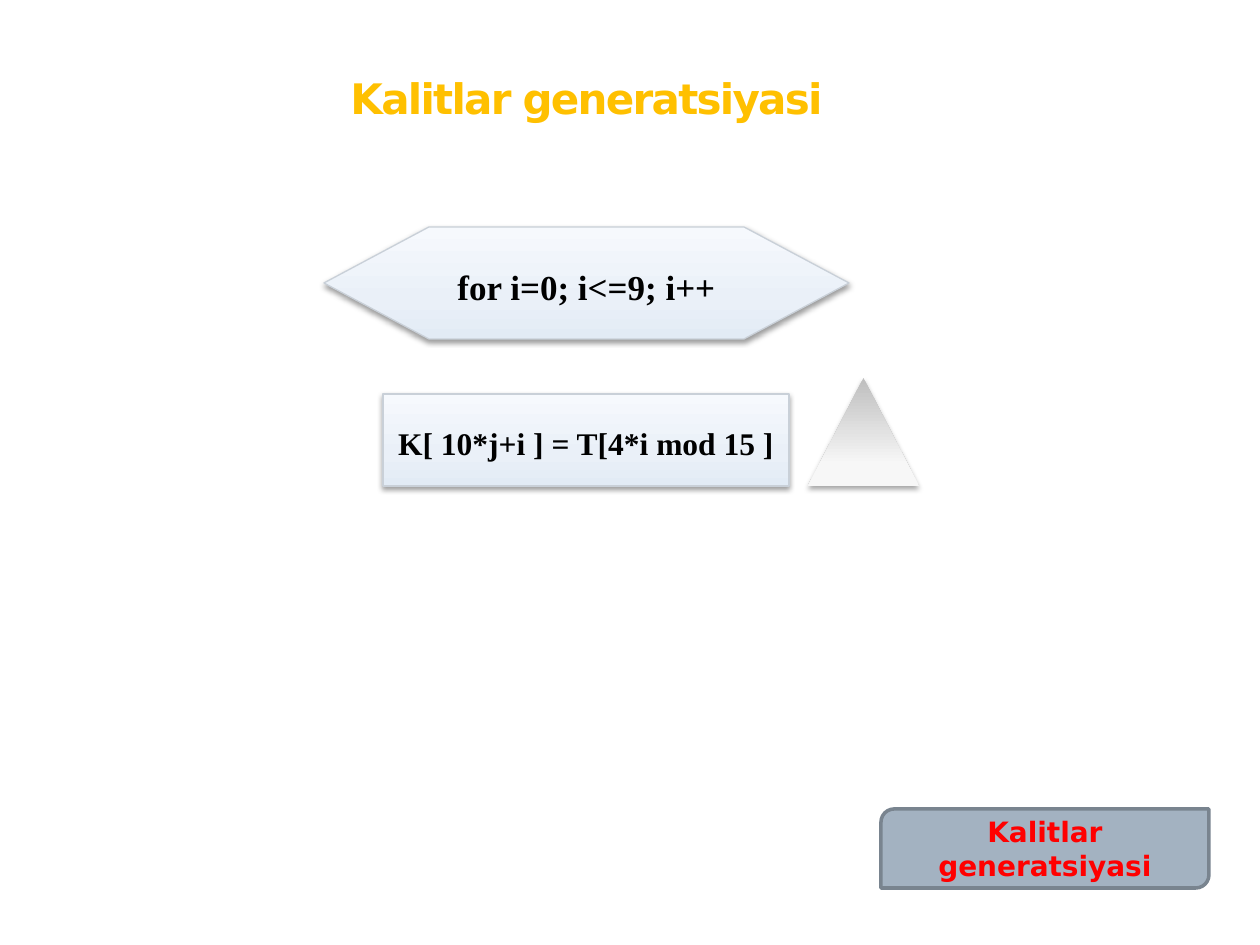
from dataclasses import dataclass
from typing import Any

from pptx import Presentation
from pptx import util as u
from pptx.dml.color import RGBColor
from pptx.enum import shapes, text
from pptx.oxml import parse_xml
from pptx.oxml.ns import nsdecls, qn

PX = u.Inches(1) / 126
KIND = shapes.MSO_SHAPE
BLUE_GRADIENT = [(0, "E2EBF5"), (35, "EAF0F8"), (100, "F6F9FD")]
GRAY_GRADIENT = [(0, "BEBEBE"), (80, "F7F7F7"), (100, "F8F8F8")]


def px(length):
    return u.Emu(round(length * PX))


def color(value):
    return RGBColor.from_string(value)


def drawing(tag, attributes, content):
    return parse_xml(f'<a:{tag} {nsdecls("a")} {attributes}>{content}</a:{tag}>')


def translucent(value, percent):
    return f'<a:srgbClr val="{value}"><a:alpha val="{percent * 1000}"/></a:srgbClr>'


@dataclass
class SlideBuilder:
    slide: Any
    heading_font: str = "DejaVu Sans"
    code_font: str = "Times New Roman"
    code_color: str = "000000"
    edge_color: str = "C9D0D8"

    def label(self, frame, words, size, font, ink):
        frame.word_wrap = True
        paragraph = frame.paragraphs[0]
        paragraph.alignment = text.PP_ALIGN.CENTER
        run = paragraph.add_run()
        run.text = words
        run.font.name = font
        run.font.size = u.Pt(size)
        run.font.bold = True
        run.font.color.rgb = color(ink)
        return paragraph, run

    def shape(self, kind, box, line=None, width=0.75):
        shape = self.slide.shapes.add_shape(kind, *map(px, box))
        shape.shadow.inherit = False
        if line:
            shape.line.color.rgb = color(line)
            shape.line.width = u.Pt(width)
        else:
            shape.line.fill.background()
        shape.text_frame.vertical_anchor = text.MSO_ANCHOR.MIDDLE
        return shape

    def raised_shape(self, kind, box, gradient, line=None, opacity=38, distance=1.6):
        shape = self.shape(kind, box, line)
        properties = shape._element.spPr
        stops = "".join(
            f'<a:gs pos="{place * 1000}"><a:srgbClr val="{value}"/></a:gs>'
            for place, value in gradient
        )
        properties.find(qn("a:prstGeom")).addnext(drawing(
            "gradFill", 'rotWithShape="1"',
            f'<a:gsLst>{stops}</a:gsLst><a:lin ang="16200000" scaled="0"/>',
        ))
        properties.find(qn("a:effectLst")).append(drawing(
            "outerShdw",
            f'blurRad="{u.Pt(3.1)}" dist="{u.Pt(distance)}" dir="5400000" rotWithShape="0"',
            translucent("000000", opacity),
        ))
        return shape

    def code_block(self, kind, box, words, size):
        shape = self.raised_shape(kind, box, BLUE_GRADIENT, self.edge_color)
        paragraph, _ = self.label(
            shape.text_frame, words, size, self.code_font, self.code_color)
        paragraph.line_spacing = 1.15
        paragraph.space_after = u.Pt(10)

    def title(self, box, words, size, ink):
        frame = self.slide.shapes.add_textbox(*map(px, box)).text_frame
        _, run = self.label(frame, words, size, self.heading_font, ink)
        properties = run.font._element
        properties.set("spc", "-100")
        properties.insert(0, drawing(
            "ln", f'w="{u.Pt(0.25)}"',
            f'<a:solidFill>{translucent("C3C3C3", 25)}</a:solidFill><a:prstDash val="solid"/>',
        ))

    def loop_marker(self, box):
        shape = self.raised_shape(
            KIND.FLOWCHART_MERGE, box, GRAY_GRADIENT, opacity=35, distance=1.8)
        shape._element.spPr.find(qn("a:xfrm")).set("flipV", "1")

    def button(self, box, words, size, ink, fill, line):
        shape = self.shape(KIND.ROUND_2_DIAG_RECTANGLE, box, line, 2)
        shape.fill.solid()
        shape.fill.fore_color.rgb = color(fill)
        self.label(shape.text_frame, words, size, self.heading_font, ink)


def main():
    presentation = Presentation()
    presentation.slide_width = px(1260)
    presentation.slide_height = px(945)
    slide = presentation.slides.add_slide(presentation.slide_layouts[6])
    builder = SlideBuilder(slide)
    heading = "Kalitlar generatsiyasi"

    builder.code_block(
        KIND.FLOWCHART_PREPARATION, (324, 227, 525, 112), "for i=0; i<=9; i++", 20)
    builder.code_block(
        KIND.RECTANGLE, (383, 394, 406, 92), "K[ 10*j+i ] = T[4*i mod 15 ]", 18)
    builder.title((253, 66, 667, 108), heading, 24, "FFC000")
    builder.loop_marker((808, 378, 111, 108))
    builder.button((881, 809, 328, 79), heading, 16, "FF0000", "A3B2C1", "79848F")

    presentation.save("out.pptx")


if __name__ == "__main__":
    main()
